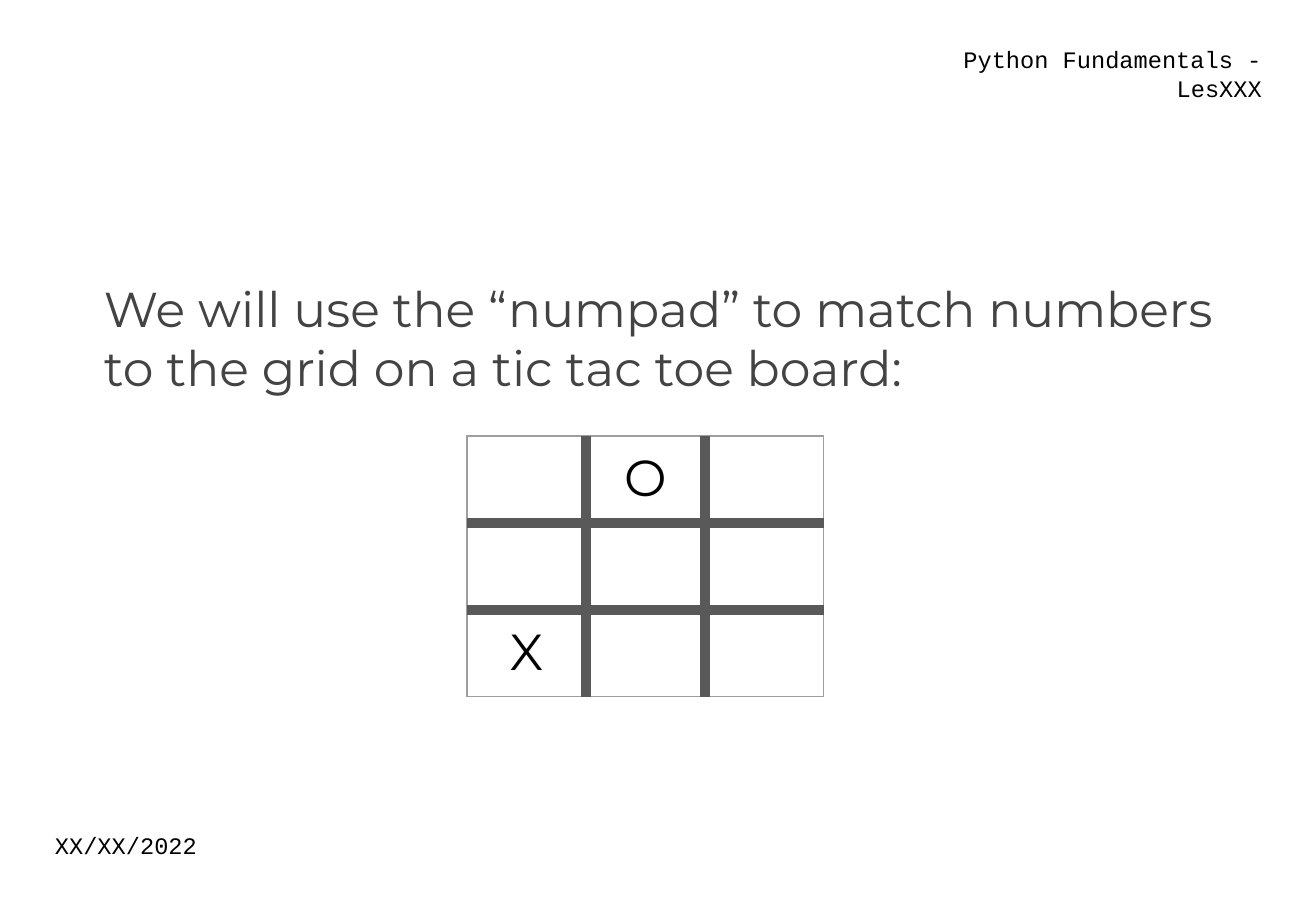
"""Build the tic tac toe numpad slide."""
from lxml.etree import SubElement
from pptx import Presentation
from pptx.dml.color import RGBColor
from pptx.enum.shapes import MSO_CONNECTOR
from pptx.enum.text import MSO_ANCHOR, MSO_AUTO_SIZE, PP_ALIGN
from pptx.oxml.ns import qn
from pptx.util import Pt

PX = 7526
COLORS = {"body": "434343", "text": "000000", "border": "9E9E9E", "line": "595959"}
INSET = 12 * PX
BOARD_LEFT, BOARD_TOP = 467, 436
CELL_WIDTH, CELL_HEIGHT = 119, 87
BOARD_RIGHT = BOARD_LEFT + 3 * CELL_WIDTH
BOARD_BOTTOM = BOARD_TOP + 3 * CELL_HEIGHT
MARKS = {(0, 1): "O", (2, 0): "X"}


def set_font(paragraph, name, size, color):
    for run in paragraph.runs:
        run.font.name = name
        run.font.size = Pt(size)
        run.font.color.rgb = RGBColor.from_string(COLORS[color])


def set_frame(text_frame):
    text_frame.word_wrap = True
    text_frame.auto_size = MSO_AUTO_SIZE.NONE
    text_frame.vertical_anchor = MSO_ANCHOR.TOP
    text_frame.margin_left = text_frame.margin_right = INSET
    text_frame.margin_top = text_frame.margin_bottom = INSET


presentation = Presentation()
presentation.slide_width = 1316 * PX
presentation.slide_height = 911 * PX
slide = presentation.slides.add_slide(presentation.slide_layouts[1])
title = slide.shapes.title
title.element.getparent().remove(title.element)

body = slide.placeholders[1]
body.left, body.top, body.width, body.height = 92 * PX, 267 * PX, 1154 * PX, 454 * PX
set_frame(body.text_frame)
body.text_frame.text = "We will use the “numpad” to match numbers to the grid on a tic tac toe board:"
paragraph = body.text_frame.paragraphs[0]
properties = paragraph._p.get_or_add_pPr()
properties.set("marL", "0")
properties.set("indent", "0")
SubElement(properties, qn("a:buNone"))
paragraph.space_before = Pt(0)
paragraph.space_after = Pt(16)
paragraph.alignment = PP_ALIGN.LEFT
set_font(paragraph, "Montserrat", 29, "body")

board = slide.shapes.add_table(
    3, 3, BOARD_LEFT * PX, BOARD_TOP * PX, 3 * CELL_WIDTH * PX, 3 * CELL_HEIGHT * PX
).table
board.first_row = board.horz_banding = False
for column in board.columns:
    column.width = CELL_WIDTH * PX
for row_index, row in enumerate(board.rows):
    row.height = CELL_HEIGHT * PX
    for column_index, cell in enumerate(row.cells):
        cell.margin_left = cell.margin_right = INSET
        cell.margin_top = cell.margin_bottom = INSET
        cell_properties = cell._tc.get_or_add_tcPr()
        for side in ("a:lnL", "a:lnR", "a:lnT", "a:lnB"):
            border = SubElement(cell_properties, qn(side), w=str(Pt(0.75)))
            border_fill = SubElement(border, qn("a:solidFill"))
            SubElement(border_fill, qn("a:srgbClr"), val=COLORS["border"])
        cell.fill.background()
        if (row_index, column_index) in MARKS:
            cell.text_frame.text = MARKS[row_index, column_index]
            paragraph = cell.text_frame.paragraphs[0]
            paragraph.alignment = PP_ALIGN.CENTER
            set_font(paragraph, "Montserrat", 30, "text")

grid_lines = []
for step in (1, 2):
    x = BOARD_LEFT + step * CELL_WIDTH
    y = BOARD_TOP + step * CELL_HEIGHT
    grid_lines.append((x, BOARD_TOP, x, BOARD_BOTTOM))
    grid_lines.append((BOARD_LEFT, y, BOARD_RIGHT, y))
for ends in grid_lines:
    connector = slide.shapes.add_connector(
        MSO_CONNECTOR.STRAIGHT, *[length * PX for length in ends]
    )
    connector.line.color.rgb = RGBColor.from_string(COLORS["line"])
    connector.line.width = Pt(6)
    SubElement(connector._element.spPr, qn("a:effectLst"))

for left, top, text, alignment in (
    (857, 33, "Python Fundamentals - LesXXX", PP_ALIGN.RIGHT),
    (43, 819, "XX/XX/2022", PP_ALIGN.LEFT),
):
    label = slide.shapes.add_textbox(left * PX, top * PX, 417 * PX, 58 * PX)
    set_frame(label.text_frame)
    label.text_frame.text = text
    paragraph = label.text_frame.paragraphs[0]
    paragraph.alignment = alignment
    set_font(paragraph, "Courier New", 14, "text")

presentation.save("out.pptx")
